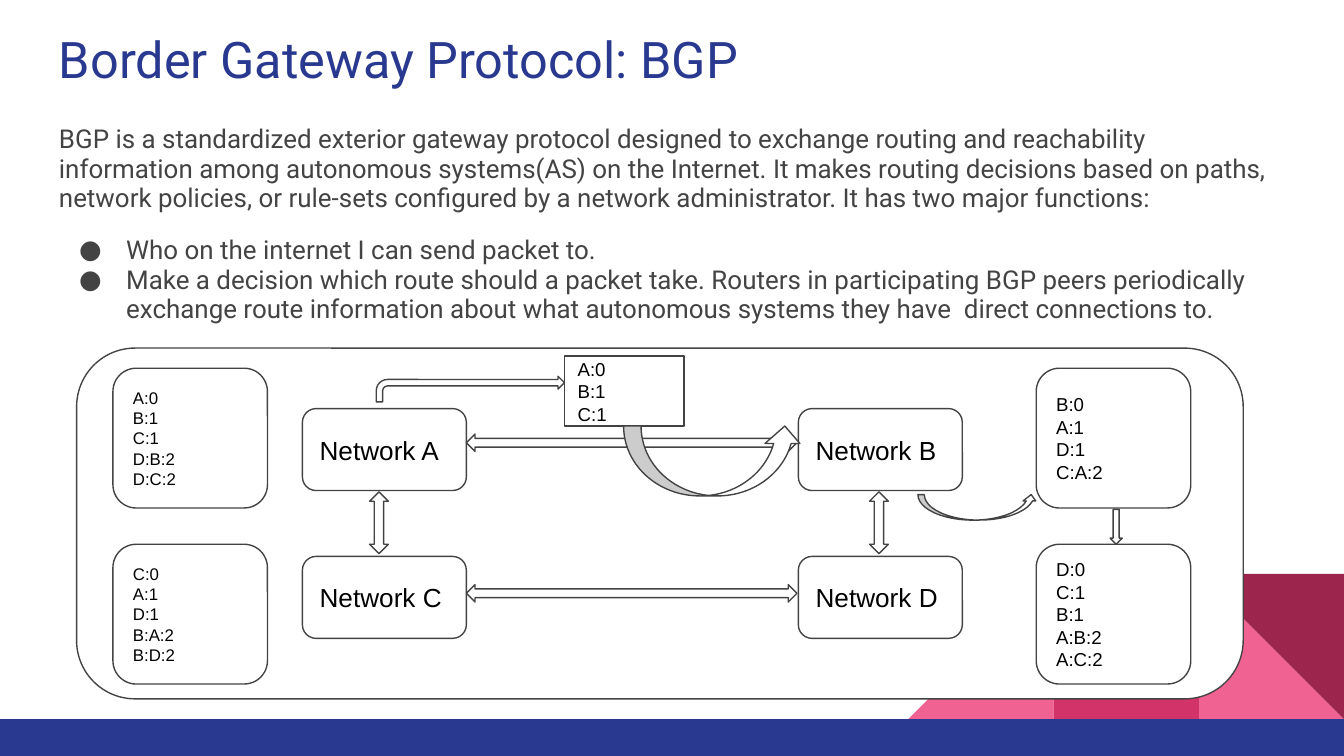
from lxml import etree
from pptx import Presentation
from pptx import util as u
from pptx.dml.color import RGBColor
from pptx.enum import shapes, text
from pptx.oxml.ns import qn

G = shapes.MSO_SHAPE
BLUE, PINK, ROSE, WINE = "2A3990", "F06292", "D23369", "9C254D"
GREY, WHITE, BLACK = "434343", "FFFFFF", "000000"


def color(value):
    return RGBColor.from_string(value)


def write(p, content, size=14, font="Arial", ink=BLACK, spacing=None, before=None):
    p.alignment = text.PP_ALIGN.LEFT
    if spacing:
        p.line_spacing = spacing
    if before:
        p.space_before = u.Pt(before)
    r = p.add_run()
    r.text = content
    r.font.size = u.Pt(size)
    r.font.name = font
    r.font.color.rgb = color(ink)


class Deck:
    def __init__(self, s):
        self.s = s

    def frame(self, sp, anchor):
        tf = sp.text_frame
        tf.word_wrap = True
        tf.vertical_anchor = anchor
        tf.margin_left = tf.margin_right = u.Inches(0.1)
        tf.margin_top = tf.margin_bottom = u.Inches(0.1)
        return tf

    def paragraphs(self, tf, count):
        return [tf.paragraphs[0]] + [tf.add_paragraph() for _ in range(count - 1)]

    def shape(self, kind, box, fill=WHITE, line=GREY, adj=()):
        sp = self.s.shapes.add_shape(kind, *map(u.Inches, box))
        sp.shadow.inherit = False
        sp.fill.solid()
        sp.fill.fore_color.rgb = color(fill)
        if line:
            sp.line.color.rgb = color(line)
            sp.line.width = u.Pt(0.75)
        else:
            sp.line.fill.background()
        for i, value in enumerate(adj):
            sp.adjustments[i] = value
        return sp

    def box(self, box, lines, size, kind=G.ROUNDED_RECTANGLE):
        tf = self.frame(self.shape(kind, box), text.MSO_ANCHOR.MIDDLE)
        for p, content in zip(self.paragraphs(tf, len(lines)), lines):
            write(p, content, size=size)

    def textbox(self, box, count=1):
        sp = self.s.shapes.add_textbox(*map(u.Inches, box))
        return self.paragraphs(self.frame(sp, text.MSO_ANCHOR.TOP), count)

    def bullet(self, p):
        pPr = p._p.get_or_add_pPr()
        pPr.set("marL", str(u.Inches(0.5)))
        pPr.set("indent", str(u.Inches(-0.35)))
        clr = etree.SubElement(pPr, qn("a:buClr"))
        etree.SubElement(clr, qn("a:srgbClr"), val=GREY)
        etree.SubElement(pPr, qn("a:buFont"), typeface="Roboto")
        etree.SubElement(pPr, qn("a:buChar"), char="●")


def background(deck):
    side, top = 1.08, 4.27
    left, middle, right = (8.92 - side * n for n in (2, 1, 0))
    deck.shape(G.RIGHT_TRIANGLE, (right, top, side, side), PINK, None)
    sp = deck.shape(G.RIGHT_TRIANGLE, (left, top, side, side), PINK, None)
    sp._element.spPr.get_or_add_xfrm().set("flipH", "1")
    deck.shape(G.RECTANGLE, (middle, top, side, side), ROSE, None)
    sp = deck.shape(G.RIGHT_TRIANGLE, (right, top, side, side), WINE, None)
    sp.rotation = 180
    deck.shape(G.RECTANGLE, (0, 5.35, 10, 0.28), BLUE, None)


def copy_text(deck):
    p, = deck.textbox((0.34, 0.11, 9.32, 0.66))
    write(p, "Border Gateway Protocol: BGP", size=27, font="Roboto", ink=BLUE)
    intro = (
        "BGP is a standardized exterior gateway protocol designed to exchange "
        "routing and reachability information among autonomous systems(AS) on "
        "the Internet. It makes routing decisions based on paths, network "
        "policies, or rule-sets configured by a network administrator. It has "
        "two major functions:"
    )
    send = "Who on the internet I can send packet to."
    decide = (
        "Make a decision which route should a packet take. Routers in "
        "participating BGP peers periodically exchange route information about "
        "what autonomous systems they have  direct connections to."
    )
    body = deck.textbox((0.34, 0.83, 9.32, 1.77), 3)
    for p in body[1:]:
        deck.bullet(p)
    for p, content, before in zip(body, (intro, send, decide), (None, 12, None)):
        write(p, content, size=13.9, font="Roboto", ink=GREY, spacing=0.95, before=before)


def diagram(deck):
    deck.shape(G.ROUNDED_RECTANGLE, (0.57, 2.59, 8.68, 2.61))

    columns, rows = (2.25, 5.94), (3.04, 4.14)
    for i, name in enumerate("ABCD"):
        deck.box((columns[i % 2], rows[i // 2], 1.22, 0.61), [f"Network {name}"], 14)

    tables = [
        (0.84, 2.74, 9, "A:0 B:1 C:1 D:B:2 D:C:2"),
        (0.84, 4.05, 9, "C:0 A:1 D:1 B:A:2 B:D:2"),
        (7.71, 2.74, 10, "B:0 A:1 D:1 C:A:2"),
        (7.71, 4.05, 10, "D:0 C:1 B:1 A:B:2 A:C:2"),
    ]
    for x, y, size, routes in tables:
        deck.box((x, y, 1.15, 1.04), routes.split(), size)

    for y in (3.23, 4.35):
        deck.shape(G.LEFT_RIGHT_ARROW, (3.47, y, 2.46, 0.13), adj=(0.5, 0.5))
    for x in (2.75, 6.47):
        deck.shape(G.UP_DOWN_ARROW, (x, 3.66, 0.14, 0.46), adj=(0.5, 0.5))

    deck.box((4.2, 2.65, 0.89, 0.52), ["A:0", "B:1", "C:1"], 10, G.RECTANGLE)
    deck.shape(G.BENT_ARROW, (2.8, 2.8, 1.4, 0.19), adj=(0.25, 0.25, 0.25, 0.44))
    for box in ((4.64, 3.17, 1.33, 0.52), (6.83, 3.68, 0.89, 0.19)):
        deck.shape(G.CURVED_UP_ARROW, box, adj=(0.25, 0.5, 0.25))
    deck.shape(G.DOWN_ARROW, (8.26, 3.79, 0.09, 0.26), adj=(0.5, 0.5))


def main():
    prs = Presentation()
    prs.slide_width, prs.slide_height = u.Inches(10), u.Inches(10 * 9 / 16)
    deck = Deck(prs.slides.add_slide(prs.slide_layouts[6]))
    background(deck)
    copy_text(deck)
    diagram(deck)
    prs.save("out.pptx")


if __name__ == "__main__":
    main()
